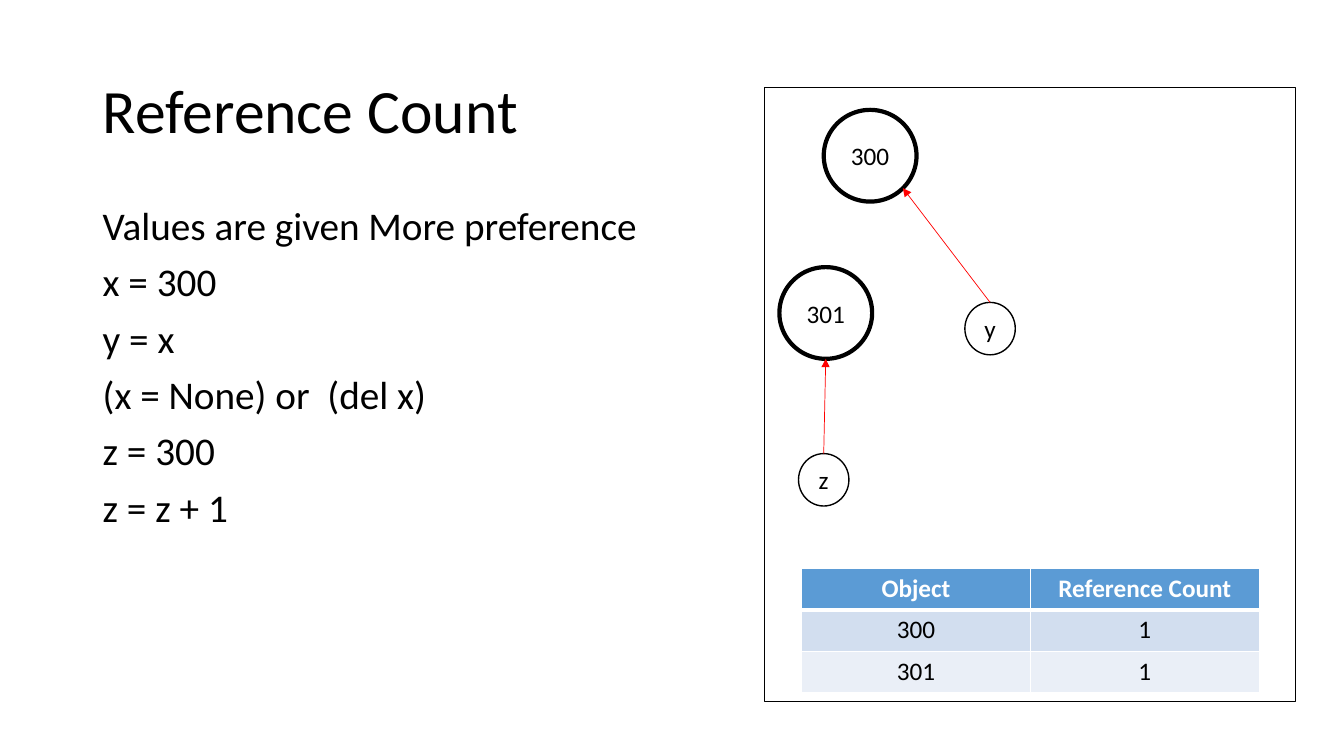
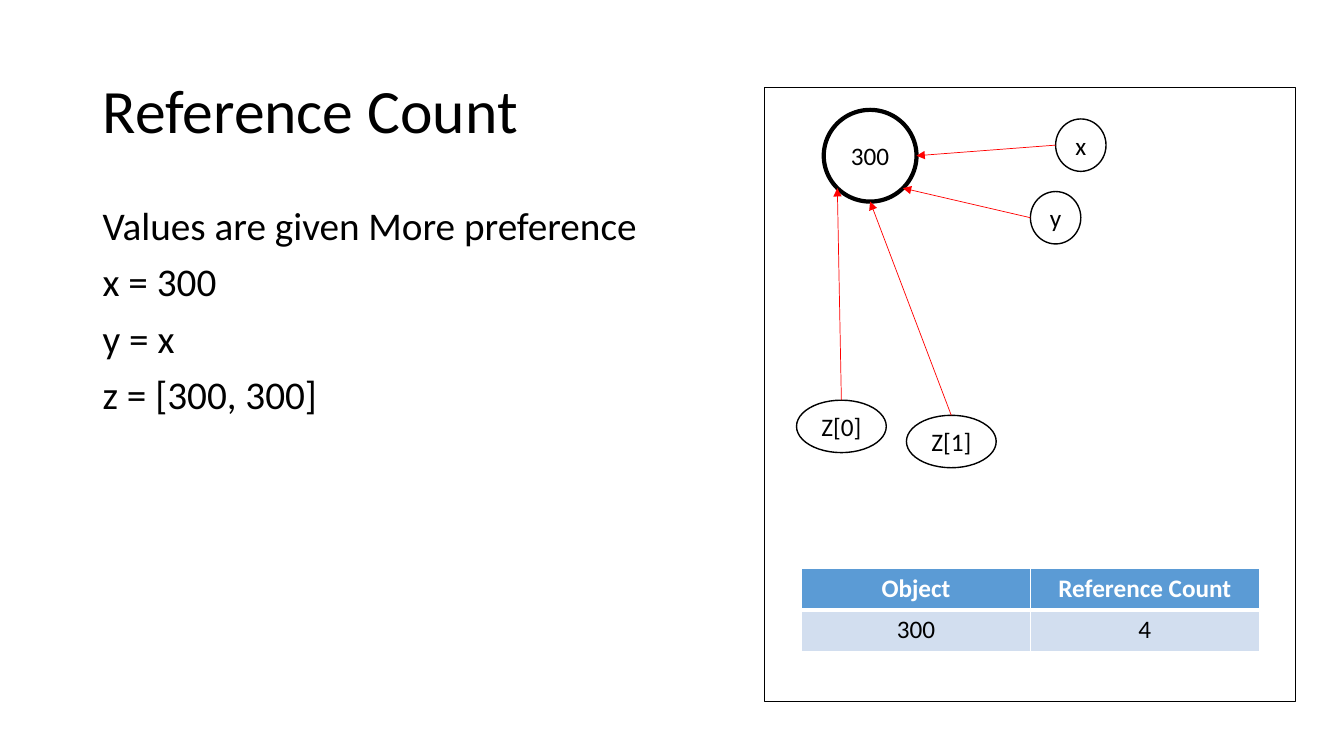
import math
import lxml.etree
import pptx
import pptx.util
import pptx.dml.color
import pptx.enum.dml
import pptx.enum.shapes
import pptx.enum.text
import pptx.oxml.ns

Inches, Pt = pptx.util.Inches, pptx.util.Pt
Color = pptx.dml.color.RGBColor.from_string
Shape = pptx.enum.shapes.MSO_SHAPE
Align = pptx.enum.text.PP_ALIGN
Anchor = pptx.enum.text.MSO_ANCHOR
qn = pptx.oxml.ns.qn

# Theme: colours, font and type sizes
theme = {
    "font": "Calibri", "title": 44, "body": 28, "label": 18,
    "ink": "000000", "paper": "FFFFFF", "arrow": "FF0000",
    "head": "5B9BD5", "bands": ["D2DEEF", "EAEFF7"],
}
left = {"alignment": Align.LEFT, "line_spacing": 0.9}
center = {"alignment": Align.CENTER}

# Connection sites of an ellipse, counted anticlockwise from the top
sites = ["top", "top left", "left", "low left",
         "low", "low right", "right", "top right"]

# Content: nodes are (left, top, width, height, line width),
# arrows are (from, site, to, site)
big, small, wide = (0.92, 0.91, 3), (0.5, 0.52, 1), (0.89, 0.52, 1)
pages = [
    {
        "code": ["x = 300", "y = x", "(x = None) or  (del x)",
                 "z = 300", "z = z + 1"],
        "nodes": {"300": (8.17, 1.09, *big), "301": (7.73, 2.65, *big),
                  "y": (9.57, 3, *small), "z": (7.92, 4.5, *small)},
        "arrows": [("y", "top", "300", "low right"),
                   ("z", "top", "301", "low")],
        "counts": [("300", "1"), ("301", "1")],
    },
    {
        "code": ["x = 300", "y = x", "z = [300, 300]"],
        "nodes": {"300": (8.17, 1.09, *big), "x": (10.47, 1.18, *small),
                  "y": (10.22, 1.9, *small), "Z[0]": (7.9, 3.97, *wide),
                  "Z[1]": (8.99, 4.12, *wide)},
        "arrows": [("x", "left", "300", "right"),
                   ("y", "left", "300", "low right"),
                   ("Z[0]", "top", "300", "low left"),
                   ("Z[1]", "top", "300", "low")],
        "counts": [("300", "4")],
    },
]


def write(frame, lines, size, para, color="ink", bold=False):
    """Fill a text frame, one paragraph a line."""
    frame.text = "\n".join(lines)
    face = {"name": theme["font"], "size": Pt(theme[size]), "bold": bold}
    for item in frame.paragraphs:
        for key, value in para.items():
            setattr(item, key, value)
        for key, value in face.items():
            setattr(item.font, key, value)
        item.font.color.rgb = Color(theme[color])


def draw(slide, kind, box, width):
    """Add a white shape with a black outline."""
    shape = slide.shapes.add_shape(kind, *map(Inches, box))
    shape.shadow.inherit = False
    shape.fill.solid()
    shape.fill.fore_color.rgb = Color(theme["paper"])
    shape.line.color.rgb = Color(theme["ink"])
    shape.line.width = Pt(width)
    return shape


deck = pptx.Presentation()
deck.slide_width, deck.slide_height = Inches(13.33), Inches(7.5)

for page in pages:
    slide = deck.slides.add_slide(deck.slide_layouts[5])

    # Title and code lines
    title = slide.shapes.title
    place = {"left": 0.92, "top": 0.4, "width": 11.5, "height": 1.45}
    for key, value in place.items():
        setattr(title, key, Inches(value))
    body = slide.shapes.add_textbox(*map(Inches, (0.92, 2, 11.5, 4.76)))
    for shape, anchor in ((title, Anchor.MIDDLE), (body, Anchor.TOP)):
        form = {"word_wrap": True, "vertical_anchor": anchor,
                "auto_size": pptx.enum.text.MSO_AUTO_SIZE.NONE}
        for key, value in form.items():
            setattr(shape.text_frame, key, value)
    write(title.text_frame, ["Reference Count"], "title", left)
    write(body.text_frame, ["Values are given More preference"] + page["code"],
          "body", {**left, "space_before": Pt(10)})

    # Panel and nodes
    draw(slide, Shape.RECTANGLE, (7.58, 0.87, 5.27, 6.09), 1)
    nodes = {}
    for name, (*box, width) in page["nodes"].items():
        node = nodes[name] = draw(slide, Shape.OVAL, box, width)
        form = {"word_wrap": False, "vertical_anchor": Anchor.MIDDLE}
        for key, value in form.items():
            setattr(node.text_frame, key, value)
        write(node.text_frame, [name], "label", center)

    # Arrows, glued to the nodes at both ends
    for start, out, end, into in page["arrows"]:
        spots, glue = [], []
        for name, site in ((start, out), (end, into)):
            node, spot = nodes[name], sites.index(site)
            angle = spot * math.pi / 4
            spots += [
                int(node.left + node.width * (1 - math.sin(angle)) / 2),
                int(node.top + node.height * (1 - math.cos(angle)) / 2)]
            glue.append((node.shape_id, spot))
        arrow = slide.shapes.add_connector(
            pptx.enum.shapes.MSO_CONNECTOR.STRAIGHT, *spots)
        arrow.line.color.rgb = Color(theme["arrow"])
        arrow.line.width = Pt(0.5)
        lxml.etree.SubElement(arrow.line._get_or_add_ln(), qn("a:tailEnd"),
                              type="triangle")
        lxml.etree.SubElement(arrow._element.spPr, qn("a:effectLst"))
        joint = arrow._element.find(".//" + qn("p:cNvCxnSpPr"))
        for tag, (ident, spot) in zip(("a:stCxn", "a:endCxn"), glue):
            lxml.etree.SubElement(joint, qn(tag), id=str(ident), idx=str(spot))

    # Table of counts
    rows = [("Object", "Reference Count")] + page["counts"]
    table = slide.shapes.add_table(
        len(rows), 2, Inches(7.95), Inches(5.64),
        Inches(4.54), Inches(0.41 * len(rows))).table
    for r, row in enumerate(rows):
        table.rows[r].height = Inches(0.41)
        for c, text in enumerate(row):
            cell, top = table.cell(r, c), r == 0
            write(cell.text_frame, [text], "label", center,
                  "paper" if top else "ink", top)
            for side in "LRTB":
                thick = (top and side == "B") or (r == 1 and side == "T")
                edge = lxml.etree.SubElement(
                    cell._tc.get_or_add_tcPr(), qn("a:ln" + side),
                    w=str(Pt(3 if thick else 1)))
                fill = lxml.etree.SubElement(edge, qn("a:solidFill"))
                lxml.etree.SubElement(fill, qn("a:srgbClr"),
                                      val=theme["paper"])
            cell.fill.solid()
            cell.fill.fore_color.rgb = Color(
                theme["head"] if top else theme["bands"][(r - 1) % 2])

deck.save("out.pptx")
